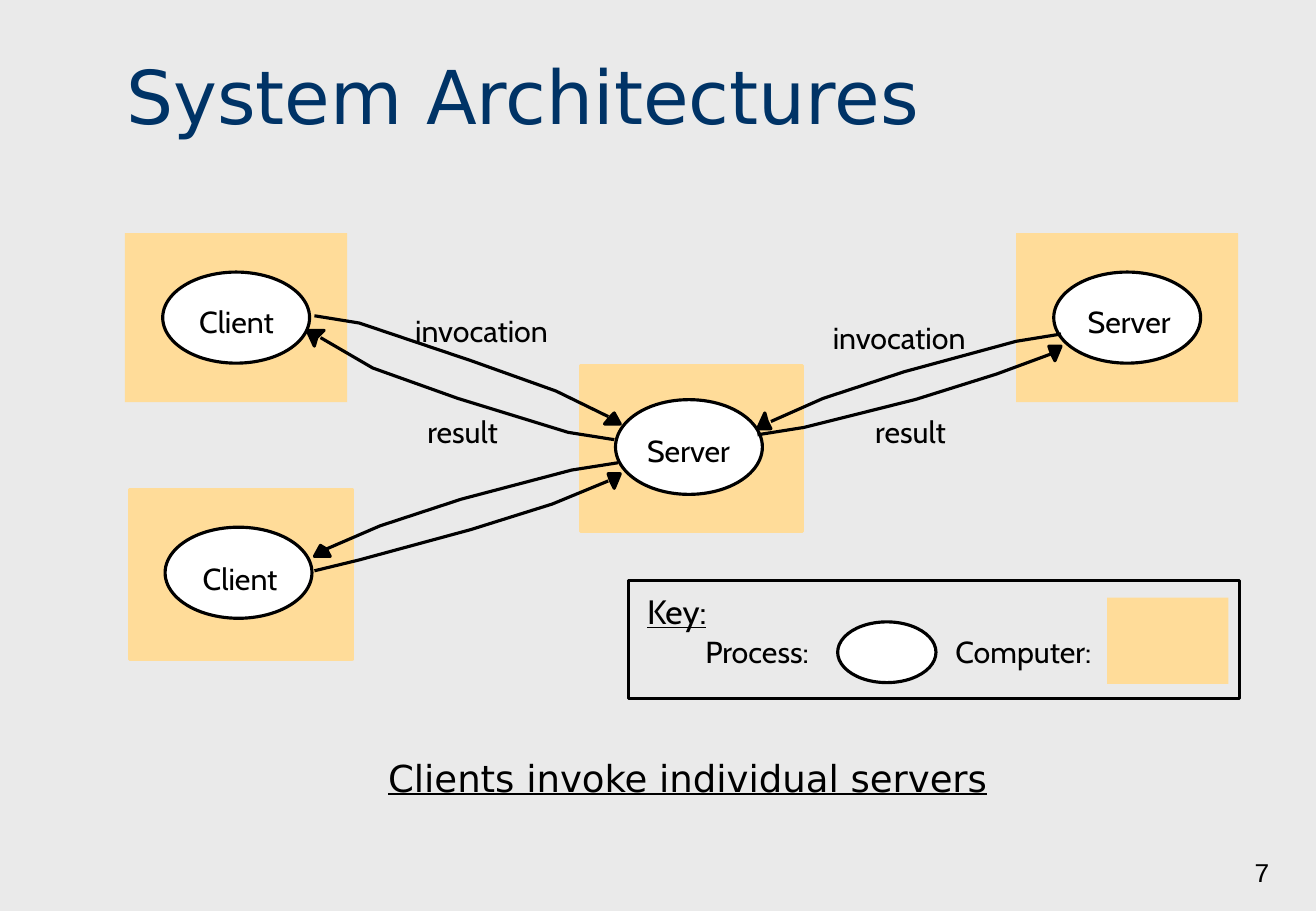
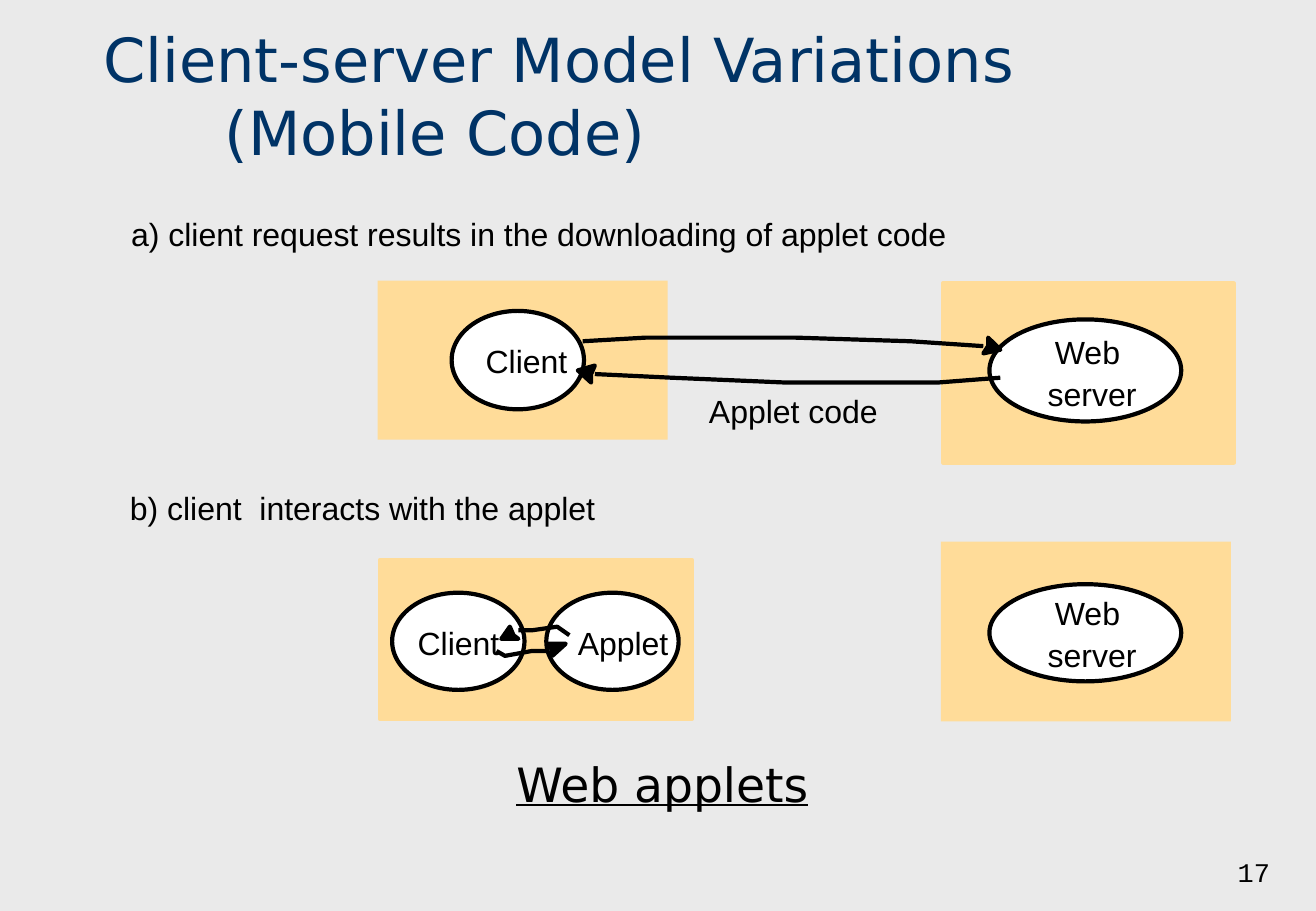
from lxml import etree
from pptx import Presentation
from pptx.dml.color import RGBColor
from pptx.enum.shapes import MSO_SHAPE
from pptx.enum.text import MSO_ANCHOR, MSO_AUTO_SIZE, PP_ALIGN
from pptx.oxml.ns import qn
from pptx.util import Inches, Pt

RECT, OVAL = MSO_SHAPE.RECTANGLE, MSO_SHAPE.OVAL
TOP, BOTTOM = MSO_ANCHOR.TOP, MSO_ANCHOR.BOTTOM
LEFT, CENTER, RIGHT = PP_ALIGN.LEFT, PP_ALIGN.CENTER, PP_ALIGN.RIGHT
FIT, FIXED = MSO_AUTO_SIZE.SHAPE_TO_FIT_TEXT, MSO_AUTO_SIZE.NONE
TITLE_FONT, NUMBER_FONT = "DejaVu Sans", "Courier New"
COLORS = {name: RGBColor.from_string(value) for name, value in {
    "background": "EAEAEA", "title": "003366", "computer": "FFDC99",
    "process": "FFFFFF", "ink": "000000"}.items()}

# Grid of one-inch columns and rows
CELL = Inches(1)
COLS, ROWS = 10.84, 7.5


def grid(*cells):
    return [round(c * CELL) for c in cells]


def write(sp, text, size=18, font="Cabin", color="ink", underline=None,
          align=LEFT, anchor=TOP, inset=(0, 0), wrap=False, fit=FIT, before=0):
    tf = sp.text_frame
    tf.margin_left = tf.margin_right = Inches(inset[0])
    tf.margin_top = tf.margin_bottom = Inches(inset[1])
    tf.word_wrap, tf.auto_size, tf.vertical_anchor = wrap, fit, anchor
    p = tf.paragraphs[0]
    p.text, p.alignment, p.space_before = text, align, Pt(before)
    for r in p.runs:
        r.font.size, r.font.name, r.font.underline = Pt(size), font, underline
        r.font.color.rgb = COLORS[color]


# Slide contents: boxes are (left, top, width, height),
# an arrow is (line points, head points)
architectures = {
    "title": "System Architectures", "title_box": (0.94, 0.36, 9.67, 0.84),
    "title_size": 44, "number": "7", "line": 1.87, "size": 18, "font": "Cabin",
    "computers": [(1.03, 1.92, 1.83, 1.39), (8.37, 1.92, 1.83, 1.39),
                  (9.12, 4.92, 1, 0.71)],
    "outlined_computers": [(4.78, 3.01, 1.83, 1.37), (1.07, 4.03, 1.83, 1.4)],
    "processes": [(5.07, 3.29, 1.21, 0.78), (1.34, 2.24, 1.21, 0.75),
                  (1.36, 4.34, 1.21, 0.75), (8.68, 2.24, 1.21, 0.75),
                  (6.9, 5.12, 0.81, 0.5)],
    "frames": [(5.18, 4.78, 5.03, 0.97)],
    "arrows": [
        ([(5.06, 3.62), (4.68, 3.56), (3.77, 3.28), (3.07, 3.03), (2.64, 2.78)],
         [(2.61, 2.78), (2.59, 2.85), (2.53, 2.72), (2.67, 2.72)]),
        ([(2.59, 2.6), (2.96, 2.66), (3.88, 2.97), (4.58, 3.22), (5.01, 3.43)],
         [(5.03, 3.43), (5.06, 3.4), (5.11, 3.49), (4.98, 3.49)]),
        ([(2.59, 4.7), (2.96, 4.61), (3.88, 4.36), (4.55, 4.15), (5.01, 3.96)],
         [(5.03, 3.96), (5.01, 3.9), (5.11, 3.9), (5.06, 4.02)]),
        ([(5.09, 3.81), (4.71, 3.87), (3.8, 4.11), (3.13, 4.33), (2.69, 4.52)],
         [(2.69, 4.52), (2.72, 4.58), (2.59, 4.58), (2.64, 4.49)]),
        ([(6.24, 3.58), (6.62, 3.52), (7.54, 3.29), (8.21, 3.08), (8.67, 2.91)],
         [(8.66, 2.91), (8.64, 2.85), (8.74, 2.85), (8.69, 2.97)]),
        ([(8.74, 2.75), (8.37, 2.81), (7.45, 3.06), (6.78, 3.28), (6.35, 3.47)],
         [(6.32, 3.47), (6.35, 3.53), (6.24, 3.53), (6.3, 3.4)])],
    "labels": [("Server", 5.33, 3.56, 0.75), ("Client", 1.64, 2.5, 0.67),
               ("Client", 1.67, 4.61, 0.67), ("Server", 8.96, 2.5, 0.75),
               ("invocation", 3.42, 2.57, 1.22), ("result", 3.52, 3.4, 0.67),
               ("invocation", 6.86, 2.63, 1.22), ("result", 7.21, 3.4, 0.67),
               ("Process:", 5.81, 5.21, 0.97), ("Computer:", 7.87, 5.21, 1.25)],
    "headings": [("Key:", 5.33, 4.86, 0.55)],
    "caption": "Clients invoke individual servers",
    "caption_box": (3, 6.17, 5.33, 0.47), "caption_size": 22, "before": 13.8,
}
mobile_code = {
    "title": "Client-server Model Variations \v\t(Mobile Code)",
    "title_box": (0.75, 0.12, 9.65, 1.31),
    "title_size": 36, "number": "17", "line": 2.49, "size": 19, "font": "Arial",
    "computers": [(3.11, 2.31, 2.39, 1.31), (7.75, 4.46, 2.39, 1.48)],
    "outlined_computers": [(7.77, 2.33, 2.39, 1.48), (3.13, 4.61, 2.57, 1.31)],
    "processes": [(3.72, 2.56, 1.09, 0.81), (8.15, 2.63, 1.58, 0.84),
                  (3.23, 4.88, 1.09, 0.8), (4.5, 4.88, 1.09, 0.8),
                  (8.15, 4.81, 1.58, 0.8)],
    "frames": [],
    "arrows": [
        ([(8.24, 3.11), (7.72, 3.15), (6.48, 3.15), (5.53, 3.11), (4.9, 3.08)],
         [(4.87, 3.08), (4.87, 3.15), (4.76, 3.05), (4.9, 3.01)]),
        ([(4.8, 2.81), (5.32, 2.78), (6.55, 2.78), (7.5, 2.81), (8.1, 2.85)],
         [(8.14, 2.85), (8.14, 2.78), (8.24, 2.88), (8.1, 2.91)]),
        ([(4.09, 5.36), (4.16, 5.4), (4.38, 5.36), (4.44, 5.36), (4.52, 5.36)],
         [(4.55, 5.36), (4.52, 5.3), (4.66, 5.3), (4.55, 5.4)]),
        ([(4.69, 5.23), (4.59, 5.16), (4.38, 5.19), (4.3, 5.19), (4.27, 5.19)],
         [(4.23, 5.23), (4.27, 5.26), (4.13, 5.26), (4.2, 5.16)])],
    "labels": [("a) client request results in the downloading of applet code ",
                1.08, 1.77, 6.85),
               ("b) client  interacts with the applet ", 1.07, 4.02, 3.95),
               ("Client", 4, 2.81, 0.72), ("Client", 3.44, 5.13, 0.72),
               ("Applet", 4.76, 5.13, 0.8), ("Applet code", 5.84, 3.22, 1.45),
               ("Web ", 8.69, 2.74, 0.66), ("server", 8.63, 3.08, 0.78),
               ("Web ", 8.69, 4.89, 0.66), ("server", 8.63, 5.23, 0.78)],
    "headings": [],
    "caption": "Web applets",
    "caption_box": (2.33, 6.17, 6.25, 0.57), "caption_size": 28, "before": 17.5,
}

# Shared size and background
prs = Presentation()
prs.slide_width, prs.slide_height = grid(COLS, ROWS)
background = prs.slide_master.background.fill
background.solid()
background.fore_color.rgb = COLORS["background"]
title_only = prs.slide_layouts[5]

for content in (architectures, mobile_code):
    s = prs.slides.add_slide(title_only)

    # Title, with a tab stop at every column
    title = s.shapes.title
    title.left, title.top, title.width, title.height = grid(*content["title_box"])
    write(title, content["title"], size=content["title_size"], font=TITLE_FONT,
          color="title", anchor=BOTTOM, inset=(0.1, 0.05), wrap=True, fit=FIXED)
    p = title.text_frame.paragraphs[0]
    tabs = etree.SubElement(p._p.get_or_add_pPr(), qn("a:tabLst"))
    for col in range(8):
        etree.SubElement(tabs, qn("a:tab"), pos=str(col * CELL), algn="l")

    # Computers, processes and the key frame, as (shape, fill, line)
    parts = []
    for group, kind, fill, line in (
            ("computers", RECT, "computer", None),
            ("outlined_computers", RECT, "computer", "computer"),
            ("processes", OVAL, "process", "ink"),
            ("frames", RECT, None, "ink")):
        for box in content[group]:
            parts.append((s.shapes.add_shape(kind, *grid(*box)), fill, line))

    # Arrows: an open line and a closed head
    for line_points, head_points in content["arrows"]:
        for points, closed, fill in ((line_points, False, None),
                                     (head_points, True, "ink")):
            start, *rest = [grid(*point) for point in points]
            outline = s.shapes.build_freeform(*start)
            outline.add_line_segments(rest, close=closed)
            parts.append((outline.convert_to_shape(), fill, "ink"))

    for sp, fill, line in parts:
        sp.shadow.inherit = False
        if fill:
            sp.fill.solid()
            sp.fill.fore_color.rgb = COLORS[fill]
        else:
            sp.fill.background()
        if line:
            sp.line.color.rgb = COLORS[line]
            sp.line.width = Pt(content["line"])
        else:
            sp.line.fill.background()

    # Labels
    for text, left, top, width in content["labels"]:
        sp = s.shapes.add_textbox(*grid(left, top, width, content["size"] / 60))
        write(sp, text, size=content["size"], font=content["font"])
    for text, left, top, width in content["headings"]:
        sp = s.shapes.add_textbox(*grid(left, top, width, 0.33))
        write(sp, text, size=20, underline=True)

    # Caption and slide number
    sp = s.shapes.add_textbox(*grid(*content["caption_box"]))
    write(sp, content["caption"], size=content["caption_size"], font=TITLE_FONT,
          underline=True, align=CENTER, inset=(0.1, 0.05), wrap=True,
          before=content["before"])
    sp = s.shapes.add_textbox(*grid(8.3, 6.86, 2.26, 0.5))
    write(sp, content["number"], size=16, font=NUMBER_FONT, align=RIGHT,
          anchor=BOTTOM, inset=(0.1, 0.05), wrap=True, fit=FIXED)

prs.save("out.pptx")
